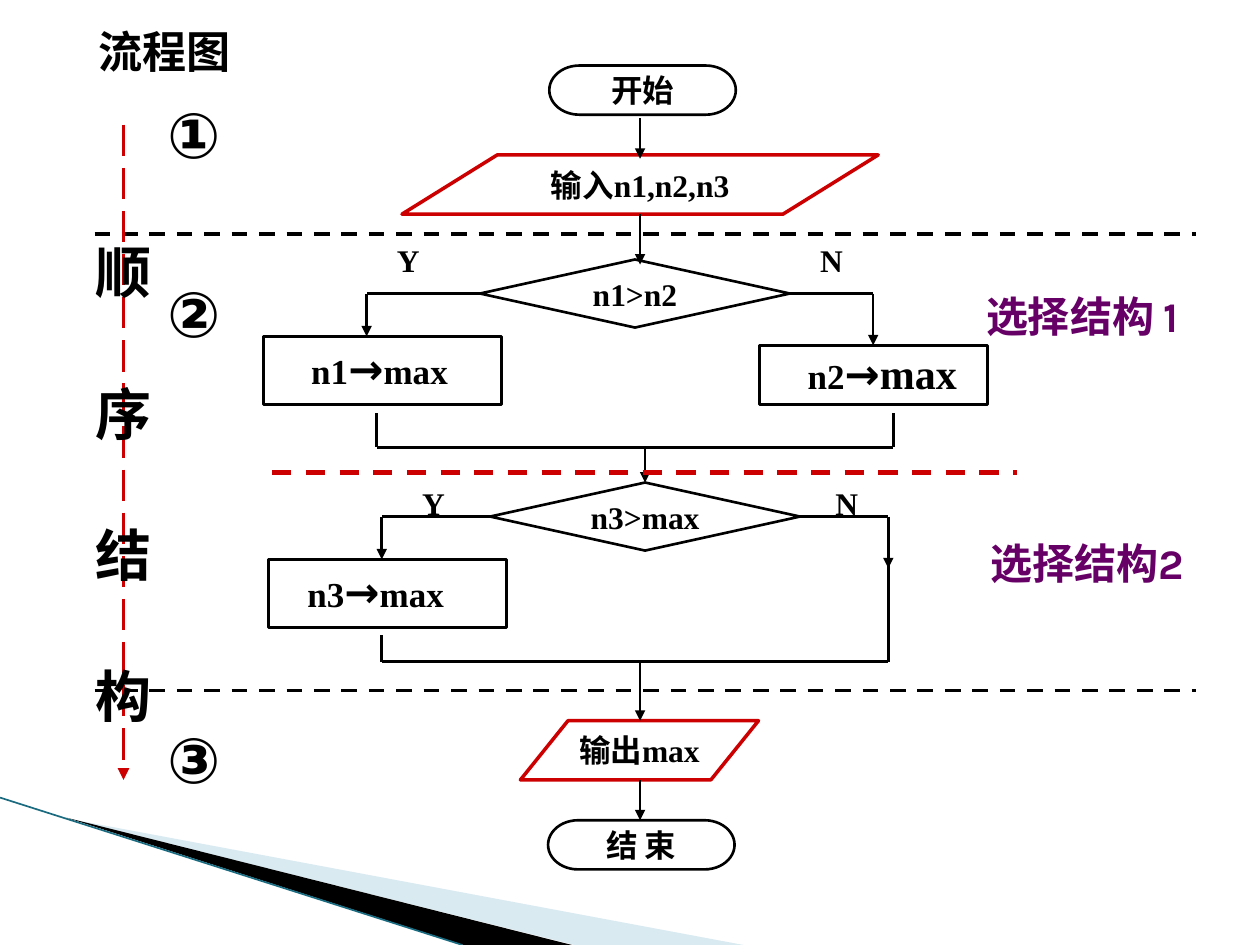
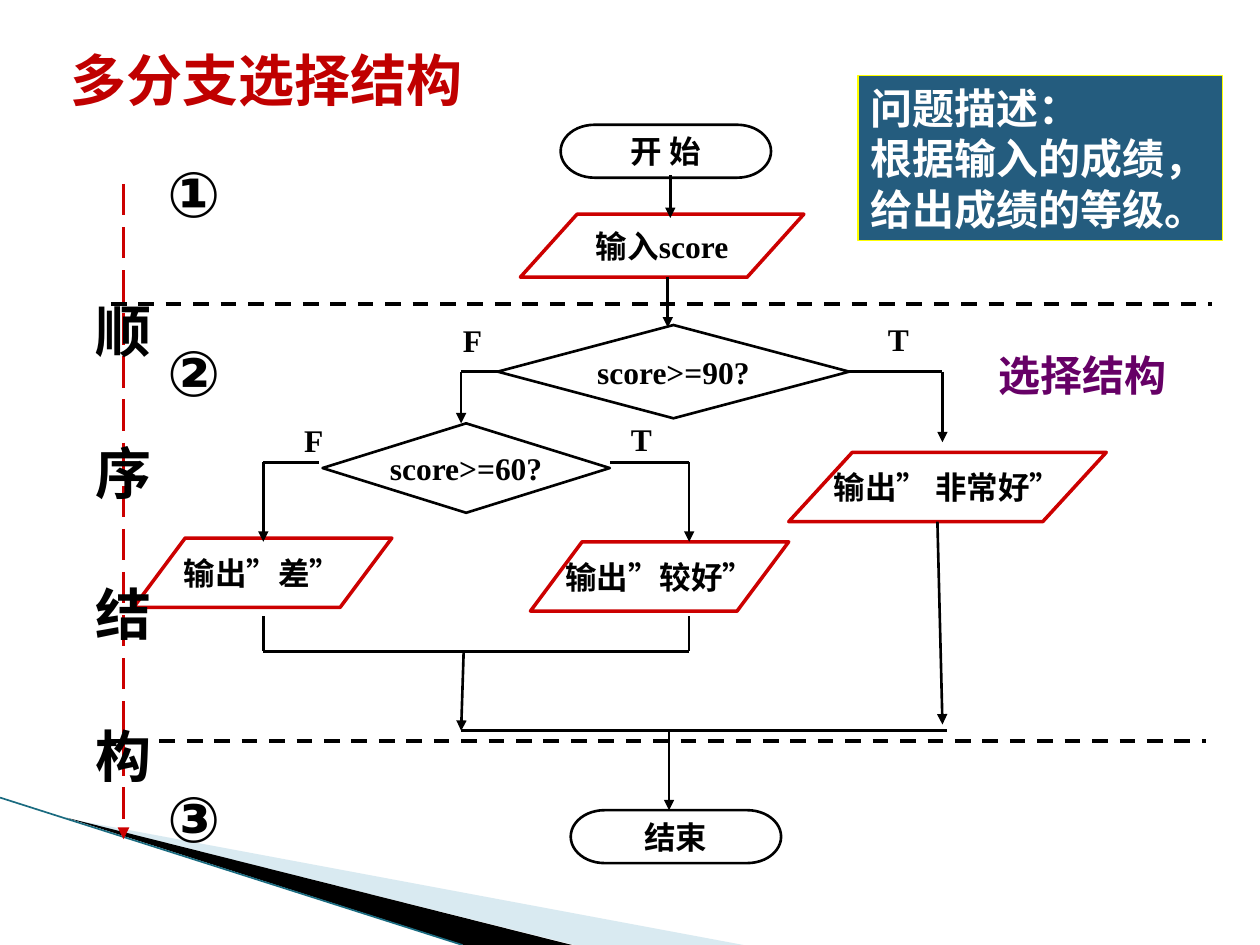
from lxml import etree
from pptx import Presentation
from pptx import util as u
from pptx.dml.color import RGBColor
from pptx.enum import dml, shapes, text
from pptx.oxml.ns import qn

COLUMNS, ROWS = 10, 7.5
CELL = u.Inches(1)  # side of one square grid cell

BLACK, RED, PURPLE, WHITE = "000000", "CC0000", "660066", "FFFFFF"
TITLE_RED, PANEL_BLUE, YELLOW = "C00000", "245C7E", "FFFF00"
PALE_BLUE, TEAL = "A0CBDC", "1A6B80"
SERIF, SANS = "Times New Roman", "Karla"

FLOW = shapes.MSO_SHAPE
TERMINAL, DATA = FLOW.FLOWCHART_TERMINATOR, FLOW.FLOWCHART_DATA
DECISION, PROCESS = FLOW.FLOWCHART_DECISION, FLOW.FLOWCHART_PROCESS
DASH, LONG_DASH = dml.MSO_LINE.DASH, dml.MSO_LINE.LONG_DASH
LEFT, CENTER = text.PP_ALIGN.LEFT, text.PP_ALIGN.CENTER
TOP, MIDDLE = text.MSO_ANCHOR.TOP, text.MSO_ANCHOR.MIDDLE


def grid(*cells):
    return [round(cell * CELL) for cell in cells]


def rgb(color):
    return RGBColor.from_string(color)


def style_shape(shape, fill=None, line=None, width=1.5):
    shape.shadow.inherit = False
    if fill:
        shape.fill.solid()
        shape.fill.fore_color.rgb = rgb(fill)
    else:
        shape.fill.background()
    if line:
        shape.line.color.rgb = rgb(line)
        shape.line.width = u.Pt(width)
    else:
        shape.line.fill.background()


def set_frame(frame, anchor=MIDDLE, wrap=False, margins=(0.1, 0.05, 0.1, 0.05)):
    frame.auto_size = text.MSO_AUTO_SIZE.NONE
    frame.word_wrap = wrap
    frame.vertical_anchor = anchor
    (frame.margin_left, frame.margin_top,
     frame.margin_right, frame.margin_bottom) = grid(*margins)


def add_run(paragraph, words, size=18, font=SERIF, color=BLACK):
    run = paragraph.add_run()
    run.text = words
    run.font.size, run.font.name, run.font.bold = u.Pt(size), font, True
    run.font.color.rgb = rgb(color)


def write_lines(frame, lines, align=CENTER, spacing=None, gap=0, **look):
    for number, words in enumerate(lines):
        paragraph = frame.add_paragraph() if number else frame.paragraphs[0]
        paragraph.alignment = align
        if spacing:
            paragraph.line_spacing = spacing
        if number and gap:
            paragraph.space_before = gap
        add_run(paragraph, words, **look)


def add_title(slide, words, box, **look):
    title = slide.shapes.title
    title.left, title.top, title.width, title.height = grid(*box)
    set_frame(title.text_frame, margins=(0, 0, 0, 0), wrap=True)
    write_lines(title.text_frame, [words], align=LEFT, **look)


def add_label(slide, lines, box, anchor=MIDDLE, margins=(0, 0.05, 0, 0.05), **look):
    label = slide.shapes.add_textbox(*grid(*box))
    set_frame(label.text_frame, anchor, margins=margins)
    write_lines(label.text_frame, lines, **look)


def add_branch_labels(slide, labels):
    """Letters centred on the given points."""
    for letter, x, y in labels:
        add_label(slide, [letter], (x - 0.5, y - 0.2, 1, 0.4))


def add_node(slide, kind, box, words):
    node = slide.shapes.add_shape(kind, *grid(*box))
    if kind == DATA:
        style_shape(node, line=RED, width=2)
    else:
        style_shape(node, line=BLACK)
    set_frame(node.text_frame)
    write_lines(node.text_frame, [words])


def add_assignment(slide, box, source, indent, max_size=20):
    """Process box that reads: source → max."""
    process = slide.shapes.add_shape(PROCESS, *grid(*box))
    style_shape(process, line=BLACK)
    set_frame(process.text_frame, wrap=True, margins=(indent, 0.05, 0, 0.05))
    paragraph = process.text_frame.paragraphs[0]
    paragraph.alignment, paragraph.line_spacing = LEFT, 0.95
    add_run(paragraph, source, size=20)
    add_run(paragraph, "→", size=24, font=SANS)
    add_run(paragraph, "max", size=max_size)


def add_route(slide, *points, arrow=True, color=BLACK, width=1.5, dash=None):
    """Straight segments through the points, with an arrowhead on the last."""
    for start, end in zip(points, points[1:]):
        segment = slide.shapes.add_connector(
            shapes.MSO_CONNECTOR.STRAIGHT, *grid(*start, *end))
        segment.line.color.rgb = rgb(color)
        segment.line.width = u.Pt(width)
        if dash:
            segment.line.dash_style = dash
        properties = segment.element.spPr
        etree.SubElement(properties, qn("a:effectLst"))
    if arrow:
        outline = properties.find(qn("a:ln"))
        etree.SubElement(outline, qn("a:tailEnd"), type="triangle")
    return segment


def add_divider(slide, left, right, y, **look):
    look = {"width": 2.25, **look}
    add_route(slide, (left, y), (right, y), arrow=False, dash=DASH, **look)


def add_wedge(slide, points, fill, opacity=None):
    corners = [grid(*point) for point in points]
    builder = slide.shapes.build_freeform(*corners[0], scale=1.0)
    builder.add_line_segments(corners[1:], close=True)
    wedge = builder.convert_to_shape()
    style_shape(wedge, fill)
    if opacity:
        tint = wedge.element.spPr.find(".//" + qn("a:srgbClr"))
        etree.SubElement(tint, qn("a:alpha"), val=str(opacity * 1000))
    return wedge


def add_corner(slide):
    """Corner decoration, moved into the layout that the slides share."""
    corner = [
        add_wedge(slide, [(0.55, 6.5), (5.9, 7.5), (4.56, 7.5)], PALE_BLUE, 40),
        add_wedge(slide, [(0.53, 6.49), (4.54, 7.5), (3.68, 7.5)], BLACK),
        add_route(slide, (0, 6.33), (3.67, 7.5), arrow=False, color=TEAL, width=0.95),
    ]
    for part in corner:
        slide.slide_layout.shapes.element.append(part.element)


def add_sequence_axis(slide, drop=0):
    """Long arrow with its three steps, lowered by drop."""
    add_route(slide, (0.98, 0.99 + drop), (0.98, 6.19 + drop),
              color=RED, width=2.25, dash=LONG_DASH)
    add_label(slide, "顺序结构", (0.68, 1.81 + drop, 0.6, 4), anchor=TOP,
              spacing=u.Pt(40.4), gap=u.Pt(40.4), size=32, font=SANS)
    for number, top in zip("①②③", (0.68, 2.1, 5.64)):
        add_label(slide, [number], (1.33, top + drop, 0.5, 0.73), anchor=TOP,
                  align=LEFT, spacing=1.05, size=36, font=SANS)


def add_structure_name(slide, words, left, top):
    add_label(slide, [words], (left, top, 1.5, 0.63), spacing=1.05,
              size=24, font=SANS, color=PURPLE)


def build_maximum(slide):
    add_title(slide, "流程图", (0.78, 0.12, 1.77, 0.56),
              size=25.2, font="DejaVu Sans Mono")
    for kind, box, words in [
        (TERMINAL, (4.36, 0.52, 1.48, 0.39), "开始"),
        (DATA, (3.19, 1.23, 3.78, 0.47), "输入n1,n2,n3"),
        (DECISION, (3.81, 2.06, 2.46, 0.54), "n1>n2"),
        (DECISION, (3.89, 3.83, 2.46, 0.54), "n3>max"),
        (DATA, (4.13, 5.72, 1.89, 0.47), "输出max"),
        (TERMINAL, (4.35, 6.51, 1.48, 0.39), "结 束"),
    ]:
        add_node(slide, kind, box, words)
    add_assignment(slide, (2.09, 2.67, 1.89, 0.54), "n1", indent=0.38)
    add_assignment(slide, (6.03, 2.74, 1.81, 0.47), "n2", indent=0.38, max_size=24)
    add_assignment(slide, (2.13, 4.44, 1.89, 0.54), "n3", indent=0.31)

    for start, end in [(0.94, 1.26), (1.7, 2.1), (5.25, 5.72), (6.19, 6.51)]:
        add_route(slide, (5.08, start), (5.08, end))
    add_route(slide, (3.81, 2.33), (2.91, 2.33), (2.91, 2.67))
    add_route(slide, (6.27, 2.33), (6.93, 2.33), (6.93, 2.74))
    add_route(slide, (2.99, 3.28), (2.99, 3.55), (7.09, 3.55), (7.09, 3.28), arrow=False)
    add_route(slide, (5.12, 3.55), (5.12, 3.83))
    add_route(slide, (3.89, 4.1), (3.03, 4.1), (3.03, 4.44))
    add_route(slide, (6.35, 4.1), (7.05, 4.1), (7.05, 4.51))
    add_route(slide, (3.03, 5.04), (3.03, 5.25), (7.05, 5.25), (7.05, 4.42), arrow=False)
    add_branch_labels(slide, [("Y", 3.24, 2.06), ("N", 6.6, 2.06),
                              ("Y", 3.44, 3.99), ("N", 6.72, 3.99)])

    for y in (1.86, 5.48):
        add_divider(slide, 0.75, 9.49, y)
    add_divider(slide, 2.16, 8.07, 3.75, color=RED, width=2.75)
    add_sequence_axis(slide)
    add_structure_name(slide, "选择结构 1", 7.84, 2.18)
    add_structure_name(slide, "选择结构2", 7.88, 4.14)


def build_grades(slide):
    add_title(slide, "多分支选择结构", (0.56, 0.31, 6, 0.64),
              size=32, font="Noto Sans CJK SC", color=TITLE_RED)
    for kind, box, words in [
        (TERMINAL, (4.45, 0.99, 1.67, 0.42), "开 始"),
        (DATA, (4.13, 1.7, 2.25, 0.5), "输入score"),
        (DECISION, (3.95, 2.58, 2.79, 0.74), "score>=90?"),
        (DECISION, (2.56, 3.36, 2.28, 0.71), "score>=60?"),
        (DATA, (6.26, 3.59, 2.52, 0.55), "输出” 非常好”"),
        (DATA, (4.21, 4.3, 2.05, 0.55), "输出”较好”"),
        (DATA, (1.06, 4.27, 2.05, 0.55), "输出”差”"),
        (TERMINAL, (4.53, 6.43, 1.67, 0.42), "结束"),
    ]:
        add_node(slide, kind, box, words)

    add_route(slide, (5.32, 1.39), (5.32, 1.73))
    add_route(slide, (5.3, 2.2), (5.3, 2.6))
    add_route(slide, (3.95, 2.95), (3.66, 2.95), (3.66, 3.36))
    add_route(slide, (6.74, 2.95), (7.48, 2.95), (7.48, 3.51))
    add_route(slide, (2.53, 3.67), (2.09, 3.67), (2.09, 4.3))
    add_route(slide, (4.84, 3.67), (5.47, 3.67), (5.47, 4.3))
    add_route(slide, (2.09, 4.89), (2.09, 5.17), (5.47, 5.17), (5.47, 4.89), arrow=False)
    add_route(slide, (3.68, 5.17), (3.66, 5.8))
    add_route(slide, (7.44, 4.14), (7.48, 5.75))
    add_route(slide, (3.66, 5.8), (7.52, 5.8), arrow=False)
    add_route(slide, (5.31, 5.8), (5.31, 6.43))
    add_branch_labels(slide, [("F", 3.75, 2.7), ("T", 7.13, 2.69),
                              ("F", 2.49, 3.49), ("T", 5.09, 3.48)])

    add_divider(slide, 0.88, 9.62, 2.41)
    add_divider(slide, 0.83, 9.57, 5.88)
    add_sequence_axis(slide, drop=0.47)
    add_structure_name(slide, "选择结构", 7.84, 2.65)

    problem = slide.shapes.add_shape(FLOW.RECTANGLE, *grid(6.81, 0.6, 2.89, 1.31))
    style_shape(problem, PANEL_BLUE, YELLOW, 0.75)
    set_frame(problem.text_frame)
    write_lines(problem.text_frame,
                ["问题描述：", "根据输入的成绩，", "给出成绩的等级。"],
                align=LEFT, size=24, color=WHITE)


def main():
    deck = Presentation()
    deck.slide_width, deck.slide_height = grid(COLUMNS, ROWS)
    title_only = deck.slide_layouts[5]
    maximum, grades = [deck.slides.add_slide(title_only) for _ in range(2)]
    add_corner(maximum)
    build_maximum(maximum)
    build_grades(grades)
    deck.save("out.pptx")


if __name__ == "__main__":
    main()
